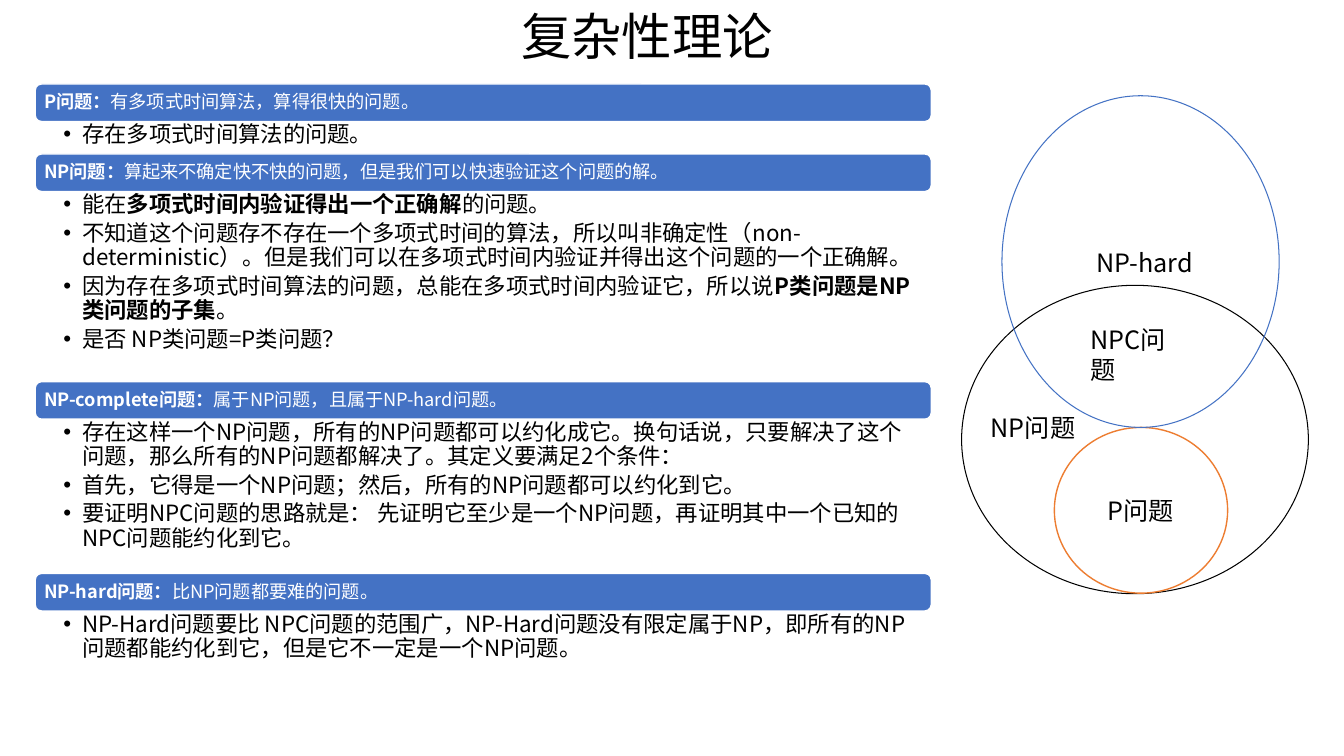
import pptx
import pptx.util
import pptx.dml.color
import pptx.enum.shapes
import pptx.enum.text
import pptx.oxml.ns
import lxml.etree

Pt = pptx.util.Pt
Shape = pptx.enum.shapes.MSO_SHAPE
Align = pptx.enum.text.PP_ALIGN
Anchor = pptx.enum.text.MSO_ANCHOR
Fit = pptx.enum.text.MSO_AUTO_SIZE
qn = pptx.oxml.ns.qn


def paint(color, code):
    color.rgb = pptx.dml.color.RGBColor.from_string(code)


class Deck:
    """Holds the style and the current slide, and draws each kind of element."""

    font = "Noto Sans CJK SC"
    blue, orange, black, white = "4472C4", "ED7D31", "000000", "FFFFFF"

    def __init__(self, slide):
        self.slide = slide

    def place(self, shape, box):
        shape.left, shape.top, shape.width, shape.height = map(Pt, box)

    def frame(self, shape, anchor, pads=(7.2, 3.6, 7.2, 3.6)):
        frame = shape.text_frame
        frame.word_wrap = True
        frame.auto_size = Fit.NONE
        frame.vertical_anchor = anchor
        (frame.margin_left, frame.margin_top,
         frame.margin_right, frame.margin_bottom) = map(Pt, pads)
        return frame

    def letter(self, par, text, size, code, align=Align.LEFT):
        par.alignment = align
        par.space_before = Pt(0)
        for i, part in enumerate(text.split("*")):
            if not part:
                continue
            run = par.add_run()
            run.text = part
            run.font.name = self.font
            run.font.size = Pt(size)
            run.font.bold = i % 2 == 1
            paint(run.font.color, code)
            east = lxml.etree.SubElement(run.font._element, qn("a:ea"))
            east.set("typeface", self.font)

    def title(self, text, box):
        shape = self.slide.shapes.title
        self.place(shape, box)
        frame = self.frame(shape, Anchor.MIDDLE)
        self.letter(frame.paragraphs[0], text, 36, self.black, Align.CENTER)

    def list(self, shape, items, box):
        self.place(shape, box)
        frame = self.frame(shape, Anchor.TOP, (20, 1.4, 8.6, 1.4))
        for i, item in enumerate(items):
            par = frame.add_paragraph() if i else frame.paragraphs[0]
            self.letter(par, item, 16, self.black)
            par.line_spacing = 0.9
            par.space_after = Pt(3.2)
            props = par._p.get_or_add_pPr()
            props.set("marL", str(Pt(13.5)))
            props.set("indent", str(-Pt(13.5)))
            lxml.etree.SubElement(props, qn("a:buFont")).set("typeface", "Arial")
            lxml.etree.SubElement(props, qn("a:buChar")).set("char", "•")

    def shape(self, kind, box, line, width, fill=None):
        shape = self.slide.shapes.add_shape(kind, *map(Pt, box))
        shape.shadow.inherit = False
        paint(shape.line.color, line)
        shape.line.width = Pt(width)
        if fill:
            shape.fill.solid()
            paint(shape.fill.fore_color, fill)
        else:
            shape.fill.background()
        return shape

    def bar(self, text, box):
        shape = self.shape(Shape.ROUNDED_RECTANGLE, box, self.white, 1, self.blue)
        frame = self.frame(shape, Anchor.MIDDLE, (5, 3.6, 5, 3.6))
        self.letter(frame.paragraphs[0], text, 13, self.white)
        frame.paragraphs[0].line_spacing = 0.9

    def oval(self, box, line, width=0.75, fill=None, text=""):
        shape = self.shape(Shape.OVAL, box, line, width, fill)
        frame = self.frame(shape, Anchor.MIDDLE)
        self.letter(frame.paragraphs[0], text, 18, self.black, Align.CENTER)

    def label(self, text, box):
        shape = self.slide.shapes.add_textbox(*map(Pt, box))
        frame = self.frame(shape, Anchor.TOP)
        self.letter(frame.paragraphs[0], text, 18, self.black)


PARTS = [
    ("*P问题：*有多项式时间算法，算得很快的问题。", 23.2,
     ["存在多项式时间算法的问题。"]),
    ("*NP问题：*算起来不确定快不快的问题，但是我们可以快速验证这个问题的解。", 135.8,
     ["能在*多项式时间内验证得出一个正确解*的问题。",
      "不知道这个问题存不存在一个多项式时间的算法，所以叫非确定性（non-deterministic）。"
      "但是我们可以在多项式时间内验证并得出这个问题的一个正确解。",
      "因为存在多项式时间算法的问题，总能在多项式时间内验证它，所以说*P类问题是NP类问题的子集*。",
      "是否 NP类问题=P类问题？"]),
    ("*NP-complete问题：*属于NP问题，且属于NP-hard问题。", 110.2,
     ["存在这样一个NP问题，所有的NP问题都可以约化成它。换句话说，只要解决了这个问题，"
      "那么所有的NP问题都解决了。其定义要满足2个条件：",
      "首先，它得是一个NP问题；然后，所有的NP问题都可以约化到它。",
      "要证明NPC问题的思路就是： 先证明它至少是一个NP问题，再证明其中一个已知的NPC问题能约化到它。"]),
    ("*NP-hard问题：*比NP问题都要难的问题。", 43.2,
     ["NP-Hard问题要比 NPC问题的范围广，NP-Hard问题没有限定属于NP，"
      "即所有的NP问题都能约化到它，但是它不一定是一个NP问题。"]),
]


def main():
    show = pptx.Presentation()
    show.slide_width, show.slide_height = Pt(960), Pt(540)
    slide = show.slides.add_slide(show.slide_layouts.get_by_name("Comparison"))
    deck = Deck(slide)
    deck.title("复杂性理论", (289.4, 0, 345.6, 51))

    left, top, wide, high = 25.2, 60, 640, 26.8
    bodies = list(slide.placeholders)[1:]
    for body, (head, tall, items) in zip(bodies, PARTS):
        deck.bar(head, (left, top, wide, high))
        deck.list(body, items, (left, top + high, wide, tall))
        top += high + tall

    deck.oval((686.9, 203.8, 247.7, 220.3), deck.black)
    deck.oval((753.1, 305.3, 123.8, 118.4), deck.orange, 1, deck.white, "P问题")
    deck.oval((715.7, 68.4, 198, 236.9), deck.blue)
    deck.label("NP问题", (700.6, 290.9, 76.3, 29))
    deck.label("NP-hard", (776.2, 172.8, 98.6, 29))
    deck.label("NPC问题", (771.8, 228.2, 85.7, 29))
    show.save("out.pptx")


if __name__ == "__main__":
    main()
